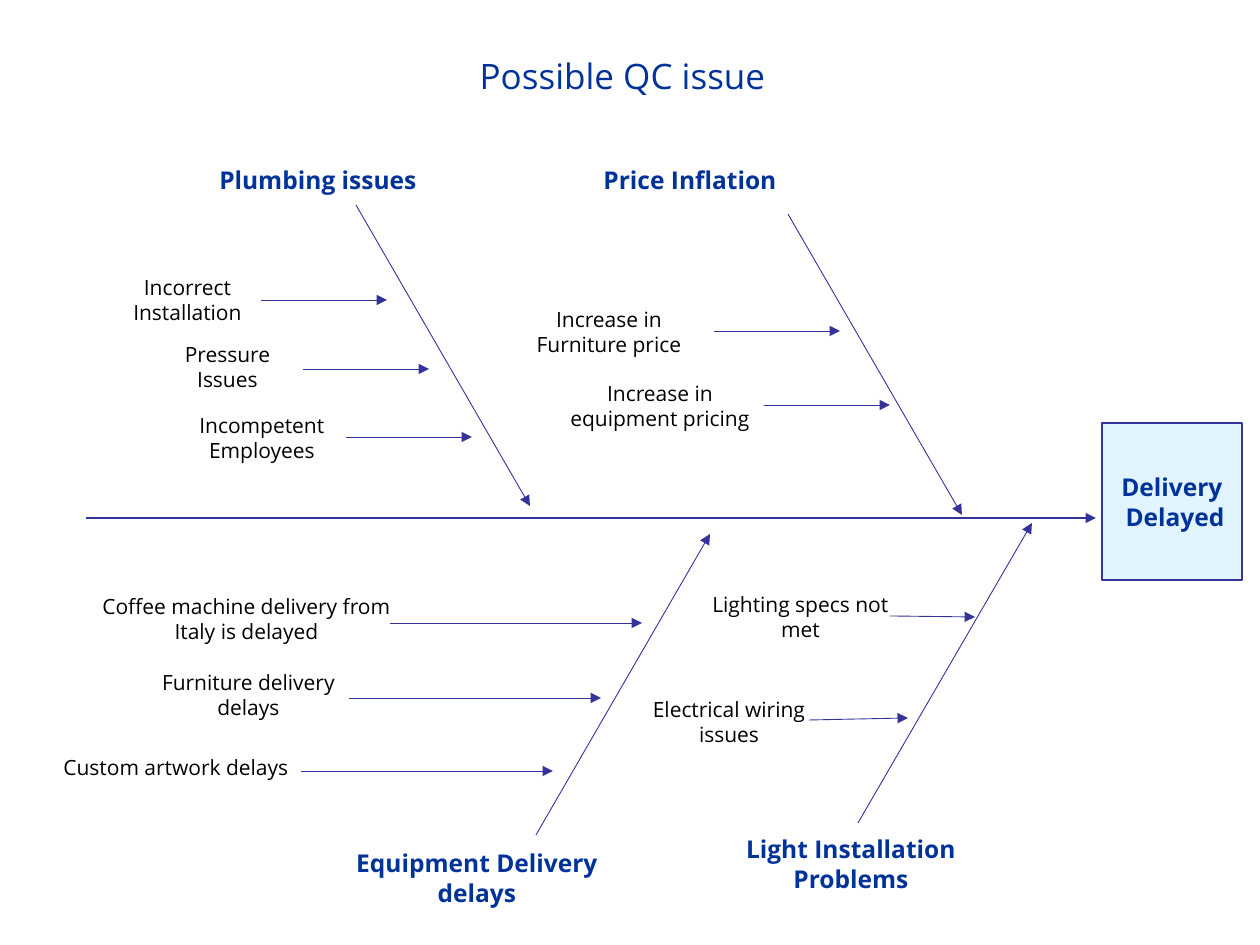
import pptx
import pptx.util
import pptx.dml.color
import pptx.enum.shapes
import pptx.enum.text
import pptx.oxml.ns
import lxml.etree

PX = 914400 // 126
BLUE, LINE, BLACK = "003399", "333399", "000000"
ANCHOR = pptx.enum.text.MSO_ANCHOR


def color(value):
    return pptx.dml.color.RGBColor.from_string(value)


def write(s, lines, size, text_color, bold, anchor, wrap=True):
    tf = s.text_frame
    tf.word_wrap = wrap
    tf.vertical_anchor = anchor
    tf.text = "\n".join(lines)
    for p in tf.paragraphs:
        p.alignment = pptx.enum.text.PP_ALIGN.CENTER
        p.font.name = "Open Sans"
        p.font.size = pptx.util.Pt(size)
        p.font.bold = bold
        p.font.color.rgb = color(text_color)


prs = pptx.Presentation()
prs.slide_width = pptx.util.Inches(10)
prs.slide_height = pptx.util.Inches(7.5)
sp = prs.slides.add_slide(prs.slide_layouts[6]).shapes

effect = sp.add_shape(pptx.enum.shapes.MSO_SHAPE.RECTANGLE,
                      1102 * PX, 423 * PX, 140 * PX, 157 * PX)
effect.shadow.inherit = False
effect.fill.solid()
effect.fill.fore_color.rgb = color("E1F4FF")
effect.line.color.rgb = color(LINE)
effect.line.width = pptx.util.Pt(1)
write(effect, ["Delivery", " Delayed"], 14, BLUE, True, ANCHOR.MIDDLE, False)

headings = [
    ("Possible QC issue", 107, 48, 1031, 54, 20, False),
    ("Plumbing issues", 117, 159, 402, 42, 14, True),
    ("Price Inflation", 549, 159, 282, 42, 14, True),
    ("Equipment Delivery delays", 338, 842, 278, 72, 14, True),
    ("Light Installation Problems", 712, 828, 278, 72, 14, True),
]
for text, x, y, w, h, size, bold in headings:
    s = sp.add_textbox(x * PX, y * PX, w * PX, h * PX)
    write(s, [text], size, BLUE, bold, ANCHOR.TOP)

causes = [
    ("Incorrect Installation", 107, 268, 161),
    ("Pressure Issues", 147, 335, 161),
    ("Incompetent\nEmployees", 179, 406, 166),
    ("Increase in Furniture price", 505, 300, 208),
    ("Increase in equipment pricing", 542, 374, 236),
    ("Coffee machine delivery from Italy is delayed", 86, 587, 321),
    ("Furniture delivery delays", 147, 663, 203),
    ("Custom artwork delays", 47, 736, 258),
    ("Lighting specs not met", 699, 585, 203),
    ("Electrical wiring issues", 637, 690, 184),
]
for text, x, y, w in causes:
    s = sp.add_textbox(x * PX, y * PX, w * PX, 63 * PX)
    write(s, text.split("\n"), 12, BLACK, False, ANCHOR.MIDDLE)

spine = [(86, 518, 1096, 518, 1.5)]
bones = [(x, y, x + 174, y + dy, 0.5) for x, y, dy in
         [(356, 205, 301), (788, 214, 301), (536, 835, -301), (858, 823, -300)]]
upper_twigs = [(x, y, x + 126, y, 0.5) for x, y in
               [(261, 300), (303, 369), (346, 437), (714, 331), (764, 405)]]
lower_twigs = [(x, y, x + 252, y, 0.5) for x, y in
               [(390, 623), (349, 698), (301, 771)]]
light_twigs = [(890, 616, 975, 617, 0.5), (809, 720, 908, 718, 0.5)]

for x1, y1, x2, y2, width in spine + bones + upper_twigs + lower_twigs + light_twigs:
    arrow = sp.add_connector(pptx.enum.shapes.MSO_CONNECTOR.STRAIGHT,
                             x1 * PX, y1 * PX, x2 * PX, y2 * PX)
    arrow.line.color.rgb = color(LINE)
    arrow.line.width = pptx.util.Pt(width)
    ln = arrow.line._get_or_add_ln()
    lxml.etree.SubElement(ln, pptx.oxml.ns.qn("a:tailEnd"), type="triangle")
    lxml.etree.SubElement(arrow._element.spPr, pptx.oxml.ns.qn("a:effectLst"))

prs.save("out.pptx")
